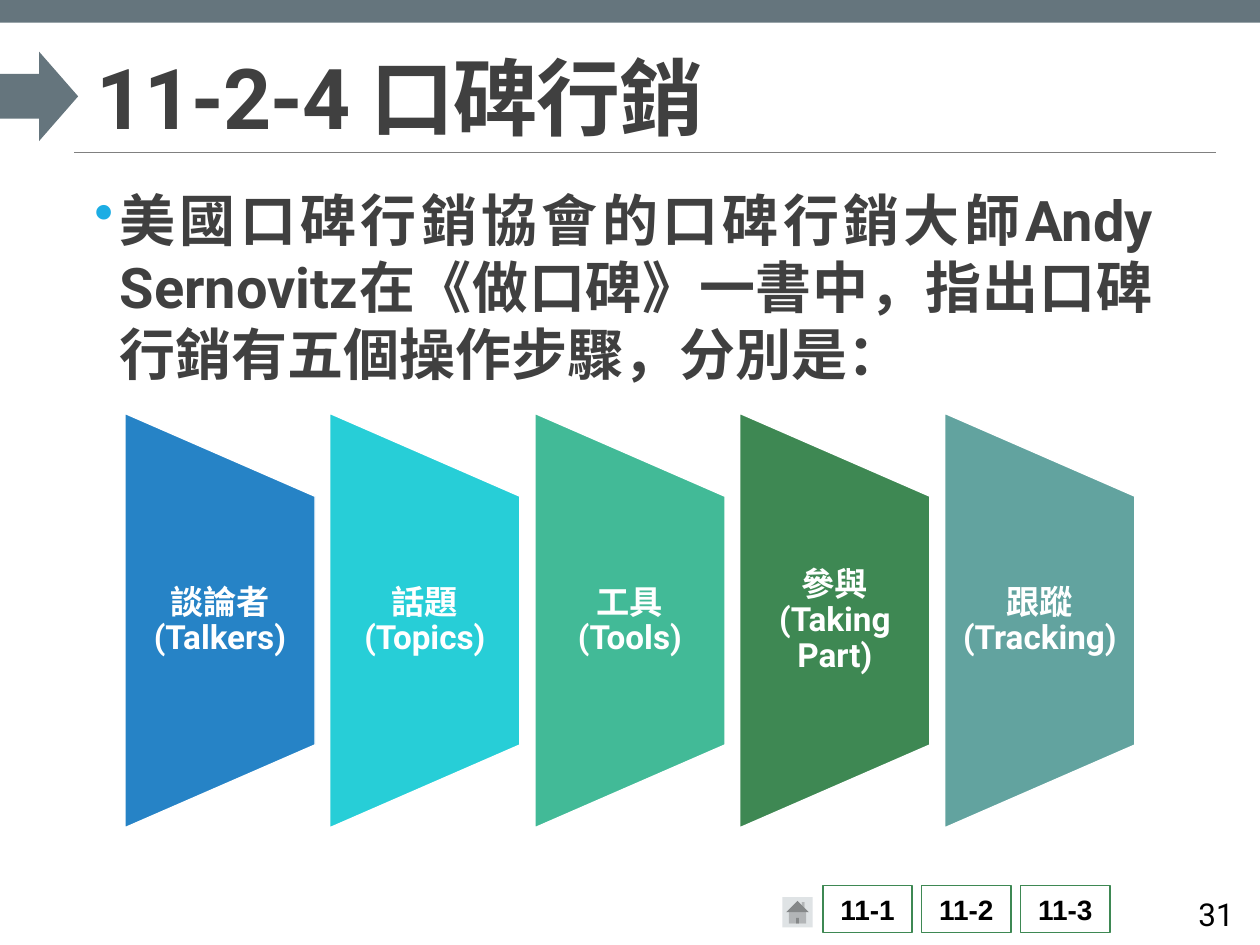
from pptx import Presentation
from pptx.dml.color import RGBColor
from pptx.enum.shapes import MSO_CONNECTOR, MSO_SHAPE
from pptx.enum.text import MSO_ANCHOR, PP_ALIGN
from pptx.oxml.ns import qn
from pptx.util import Inches, Pt
from lxml.etree import SubElement

COLORS = {"slate": "65757D", "rule": "808080", "green": "3E8853", "home": "DFE3E5",
          "text": "404040", "bullet": "1CADE4", "white": "FFFFFF", "black": "000000"}


def add_shape(kind, box, fill, line=None):
    s = slide.shapes.add_shape(kind, *map(Inches, box))
    s.shadow.inherit = False
    s.fill.solid()
    s.fill.fore_color.rgb = RGBColor.from_string(fill)
    if line:
        s.line.color.rgb = RGBColor.from_string(line)
        s.line.width = Pt(0.85)
    else:
        s.line.fill.background()
    return s


def write(s, text, size, color, align, anchor=MSO_ANCHOR.MIDDLE, name="Roboto",
          bold=True, insets=(0.1, 0.05), **spacing):
    tf = s.text_frame
    x, y = map(Inches, insets)
    frame = {"word_wrap": True, "vertical_anchor": anchor, "margin_left": x,
             "margin_right": x, "margin_top": y, "margin_bottom": y}
    for key, value in frame.items():
        setattr(tf, key, value)
    p = tf.paragraphs[0]
    for key, value in {"alignment": align, **spacing}.items():
        setattr(p, key, value)
    r = p.add_run()
    r.text = text
    for key, value in {"name": name, "size": Pt(size), "bold": bold}.items():
        setattr(r.font, key, value)
    r.font.color.rgb = RGBColor.from_string(color)
    return p, r


prs = Presentation()
prs.slide_width, prs.slide_height = Inches(10), Inches(7.5)
slide = prs.slides.add_slide(prs.slide_layouts[6])

# Header rule, band and arrow
rule = slide.shapes.add_connector(MSO_CONNECTOR.STRAIGHT, Inches(0.59), Inches(1.21),
                                  Inches(9.65), Inches(1.21))
rule.line.color.rgb = RGBColor.from_string(COLORS["rule"])
rule.line.width = Pt(0.5)
SubElement(rule._element.spPr, qn("a:effectLst"))
add_shape(MSO_SHAPE.RECTANGLE, (0, 0, 10, 0.18), COLORS["slate"])
add_shape(MSO_SHAPE.RIGHT_ARROW, (0, 0.41, 0.62, 0.71), COLORS["slate"])

# Navigation buttons
add_shape(MSO_SHAPE.ACTION_BUTTON_HOME, (6.21, 7.12, 0.24, 0.24), COLORS["home"])
for i in range(3):
    s = add_shape(MSO_SHAPE.RECTANGLE, (6.53 + 0.785 * i, 7.03, 0.71, 0.37),
                  COLORS["white"], COLORS["green"])
    write(s, f"11-{i + 1}", 16, COLORS["black"], PP_ALIGN.CENTER, name="Arial")

# Title
s = slide.shapes.add_textbox(Inches(0.67), Inches(0.31), Inches(8.98), Inches(0.9))
p, r = write(s, "11-2-4 口碑行銷", 48, COLORS["text"], PP_ALIGN.LEFT,
             MSO_ANCHOR.BOTTOM, line_spacing=0.85)
r.font._element.set("spc", "-50")

# Bulleted introduction
s = slide.shapes.add_textbox(Inches(0.75), Inches(1.42), Inches(8.4), Inches(5.41))
p, r = write(s, "美國口碑行銷協會的口碑行銷大師Andy Sernovitz在《做口碑》一書中，"
             "指出口碑行銷有五個操作步驟，分別是：", 32, COLORS["text"],
             PP_ALIGN.JUSTIFY, MSO_ANCHOR.TOP, insets=(0, 0.05))
pPr = p._p.get_or_add_pPr()
pPr.set("marL", str(Inches(0.2)))
pPr.set("indent", str(Inches(-0.2)))
SubElement(SubElement(pPr, qn("a:buClr")), qn("a:srgbClr"), val=COLORS["bullet"])
SubElement(pPr, qn("a:buChar"), char="•")

# Slide number
s = slide.shapes.add_textbox(Inches(8.81), Inches(7.05), Inches(1.08), Inches(0.4))
write(s, "31", 18, COLORS["black"], PP_ALIGN.RIGHT, bold=False)

# Five steps: trapezoids turned on their side, each with a label
steps = [("談論者(Talkers)", "2683C6"), ("話題(Topics)", "27CED7"), ("工具(Tools)", "42BA97"),
         ("參與(Taking Part)", "3E8853"), ("跟蹤(Tracking)", "62A39F")]
length, width, middle = 3.29, 1.51, 4.925
for i, (label, fill) in enumerate(steps):
    left = 0.99 + 1.627 * i
    s = add_shape(MSO_SHAPE.FLOWCHART_MANUAL_OPERATION,
                  (left + (width - length) / 2, middle - width / 2, length, width),
                  fill, COLORS["white"])
    s.rotation = 270
    s = slide.shapes.add_textbox(Inches(left), Inches(3.94), Inches(width), Inches(1.98))
    write(s, label, 19, COLORS["white"], PP_ALIGN.CENTER, insets=(0.13, 0), line_spacing=0.9)

prs.save("out.pptx")
